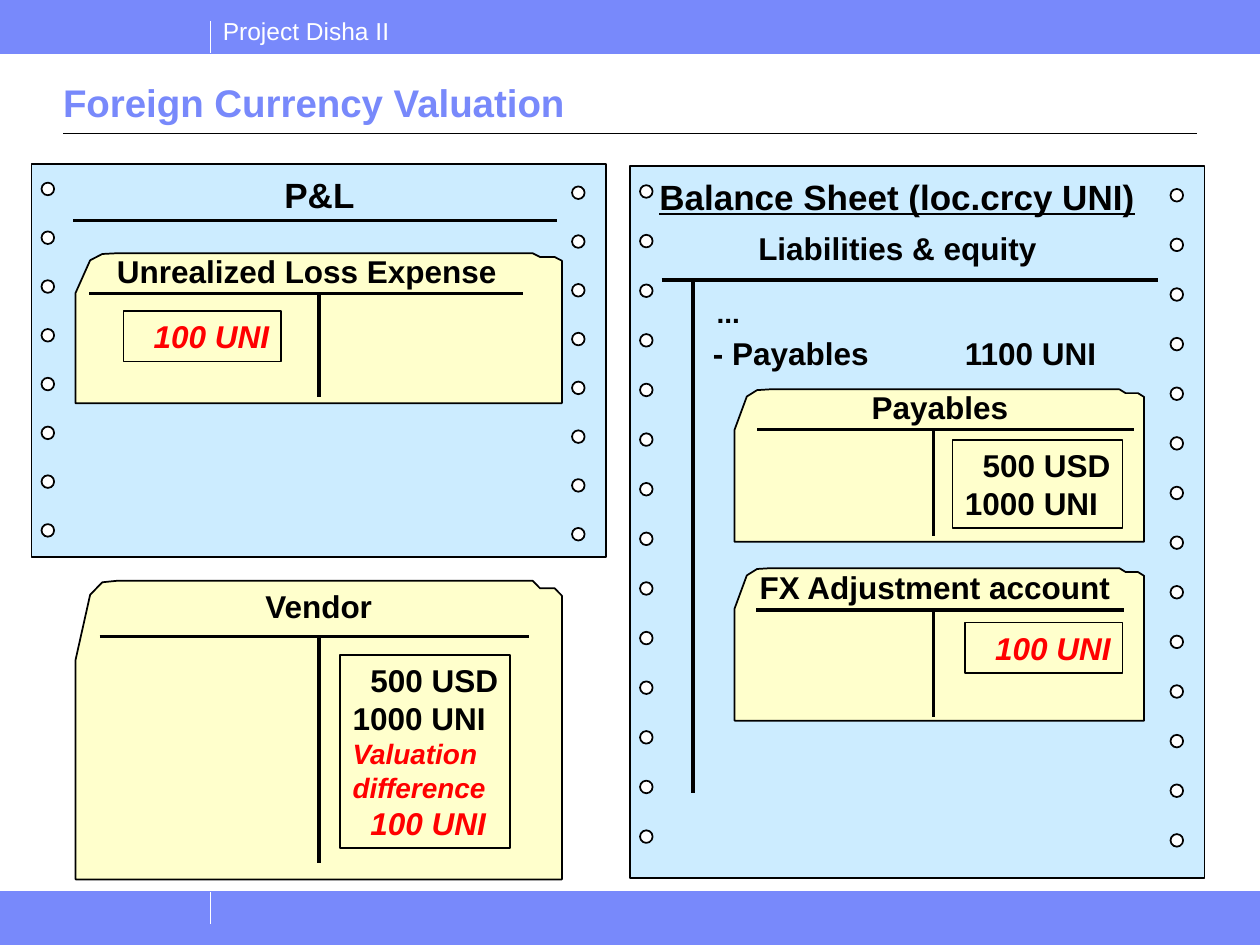
from lxml import etree
from pptx import Presentation
from pptx import util as u
from pptx.dml import color
from pptx.enum import shapes, text
from pptx.oxml import ns

HUES = {
    "band": "7889FB", "page": "CCECFF", "card": "FFFFCC",
    "ink": "000000", "gain": "FF0000", "white": "FFFFFF",
}
LEFT, MID = text.PP_ALIGN.LEFT, text.PP_ALIGN.CENTER
TOP, HALF = text.MSO_ANCHOR.TOP, text.MSO_ANCHOR.MIDDLE
PAD = 0.14
EDGE = [(0, 26.5), (3, 4.7), (5.5, 0.5), (8.5, 0), (94, 0), (95.5, 2.5),
        (98.5, 2.5), (100, 5), (100, 100), (0, 100)]


def hue(name):
    return color.RGBColor.from_string(HUES[name])


def paint(shape, fill, line="ink", width=1):
    shape.shadow.inherit = False
    if fill:
        shape.fill.solid()
        shape.fill.fore_color.rgb = hue(fill)
    else:
        shape.fill.background()
    shape.line.color.rgb = hue(line)
    shape.line.width = u.Pt(width)


def block(kit, kind, box, fill, line="ink", width=1):
    shape = kit.add_shape(kind, *map(u.Inches, box))
    paint(shape, fill, line, width)
    return shape


def rule(kit, start, end, width, name="ink"):
    line = kit.add_connector(shapes.MSO_CONNECTOR.STRAIGHT,
                             *map(u.Inches, (*start, *end)))
    line.line.color.rgb = hue(name)
    line.line.width = u.Pt(width)
    etree.SubElement(line._element.spPr, ns.qn("a:effectLst"))


def write(frame, rows, align=LEFT, anchor=TOP, wrap=False, side=0.1):
    frame.word_wrap = wrap
    frame.vertical_anchor = anchor
    frame.margin_left = frame.margin_right = u.Inches(side)
    frame.margin_top = frame.margin_bottom = u.Inches(0.05)
    for num, (words, size, name, style, pad) in enumerate(rows):
        para = frame.add_paragraph() if num else frame.paragraphs[0]
        para.alignment = align
        props = para._p.get_or_add_pPr()
        if pad:
            props.set("marL", str(u.Inches(pad)))
        if "\t" in words:
            tabs = etree.SubElement(props, ns.qn("a:tabLst"))
            etree.SubElement(tabs, ns.qn("a:tab"),
                             pos=str(u.Inches(2)), algn="l")
        run = para.add_run()
        run.text = words
        font = run.font
        font.name, font.size = "Arial", u.Pt(size)
        font.color.rgb = hue(name)
        font.bold, font.italic = "b" in style, "i" in style
        font.underline = "u" in style


def label(kit, box, words, size=18, style="b", name="ink", **look):
    shape = kit.add_textbox(*map(u.Inches, box))
    write(shape.text_frame, [(words, size, name, style, 0)], **look)


def sums(kit, box, rows):
    shape = block(kit, shapes.MSO_SHAPE.RECTANGLE, box, None)
    write(shape.text_frame, rows, anchor=HALF)


def folder(kit, box, name, spot, bar, stem, foot):
    left, top, wide, high = box
    pts = [(u.Inches(left + wide * x / 100), u.Inches(top + high * y / 100))
           for x, y in EDGE]
    path = kit.build_freeform(*pts[0])
    path.add_line_segments(pts[1:], close=True)
    paint(path.convert_to_shape(), "card")
    start, end, drop = bar
    rule(kit, (left + start, top + drop), (left + end, top + drop), 2)
    rule(kit, (left + stem, top + drop), (left + stem, top + high - foot), 2)
    x, y, span = spot
    label(kit, (left + x, top + y, span, 0.4), name,
          align=MID, anchor=HALF, wrap=True)


def sheet(kit, box, count, reach):
    left, top, _, _ = box
    block(kit, shapes.MSO_SHAPE.RECTANGLE, box, "page")
    for x, y in ((0.08, 0.15), (4.29, 0.18)):
        for num in range(count):
            drop = y + reach * num / (count - 1)
            block(kit, shapes.MSO_SHAPE.OVAL,
                  (left + x, top + drop, 0.1, 0.1), "white")


def frame(slide, box):
    left, top, wide, high = box
    kit = slide.shapes
    base = top + high - 0.42
    for y in (top, base):
        block(kit, shapes.MSO_SHAPE.RECTANGLE, (left, y, wide, 0.42),
              "band", "band", 0.75)
    for y in (top + 0.17, base):
        rule(kit, (left + 1.67, y), (left + 1.67, y + 0.25), 0.75, "white")
    label(kit, (left + 1.67, top + 0.08, 1.52, 0.34), "Project Disha II",
          14, "", "white")
    rule(kit, (left + 0.5, top + 1.06), (left + wide - 0.5, top + 1.06), 0.75)
    head = slide.shapes.title
    head.left, head.top, head.width, head.height = map(
        u.Inches, (left + 0.5, top + 0.54, wide - 1, 0.5))
    write(head.text_frame,
          [("Foreign Currency Valuation", 22, "band", "b", 0)],
          anchor=text.MSO_ANCHOR.BOTTOM, wrap=True, side=0)


def profit(slide, box):
    left, top, _, _ = box
    kit = slide.shapes.add_group_shape().shapes
    sheet(kit, box, 8, 2.71)
    label(kit, (left + 1.78, top + 0.03, 1.01, 0.44), "P&L", 20,
          align=MID, wrap=True)
    rule(kit, (left + 0.33, top + 0.45), (left + 4.17, top + 0.45), 2.25)
    folder(kit, (left + 0.35, top + 0.71, 3.86, 1.19),
           "Unrealized Loss Expense", (0.13, -0.06, 3.41),
           (0.11, 3.55, 0.32), 1.93, 0.05)
    sums(kit, (left + 0.73, top + 1.17, 1.25, 0.4),
         [("100 UNI", 18, "gain", "bi", PAD)])


def vendor(slide, box):
    left, top, _, _ = box
    kit = slide.shapes
    folder(kit, box, "Vendor", (1.3, 0, 1.26), (0.19, 3.6, 0.44), 1.93, 0.13)
    sums(kit, (left + 2.1, top + 0.59, 1.35, 1.53),
         [("500 USD", 18, "ink", "b", PAD),
          ("1000 UNI", 18, "ink", "b", 0),
          ("Valuation", 16, "gain", "bi", 0),
          ("difference", 16, "gain", "bi", 0),
          ("100 UNI", 18, "gain", "bi", PAD)])


def balance(slide, box):
    left, top, _, _ = box
    kit = slide.shapes.add_group_shape().shapes
    sheet(kit, box, 14, 5.12)
    label(kit, (left + 0.03, top + 0.02, 4.18, 0.44),
          "Balance Sheet (loc.crcy UNI)", 20, "bu", align=MID, wrap=True)
    label(kit, (left + 0.92, top + 0.45, 2.6, 0.4), "Liabilities & equity",
          wrap=True)
    rule(kit, (left + 0.25, top + 0.9), (left + 4.19, top + 0.9), 2.25)
    rule(kit, (left + 0.5, top + 0.9), (left + 0.5, top + 4.97), 2.25)
    label(kit, (left + 0.59, top + 0.98, 0.5, 0.37), "...", 16, wrap=True)
    label(kit, (left + 0.56, top + 1.28, 3.4, 0.4),
          "- Payables\t1100 UNI", wrap=True)
    folder(kit, (left + 0.83, top + 1.77, 3.25, 1.21), "Payables",
           (0.89, -0.06, 1.48), (0.18, 3.17, 0.32), 1.58, 0.05)
    sums(kit, (left + 2.56, top + 2.17, 1.35, 0.7),
         [("500 USD", 18, "ink", "b", PAD), ("1000 UNI", 18, "ink", "b", 0)])
    folder(kit, (left + 0.83, top + 3.19, 3.25, 1.21),
           "FX Adjustment account", (-0.01, -0.05, 3.2),
           (0.17, 3.09, 0.33), 1.58, 0.03)
    sums(kit, (left + 2.66, top + 3.62, 1.25, 0.4),
         [("100 UNI", 18, "gain", "bi", PAD)])


def main():
    deck = Presentation()
    deck.slide_width, deck.slide_height = u.Inches(10), u.Inches(7.5)
    slide = deck.slides.add_slide(deck.slide_layouts[5])
    frame(slide, (0, 0, 10, 7.5))
    vendor(slide, (0.6, 4.61, 3.86, 2.37))
    profit(slide, (0.25, 1.3, 4.56, 3.12))
    balance(slide, (5, 1.32, 4.56, 5.65))
    deck.save("out.pptx")


if __name__ == "__main__":
    main()
